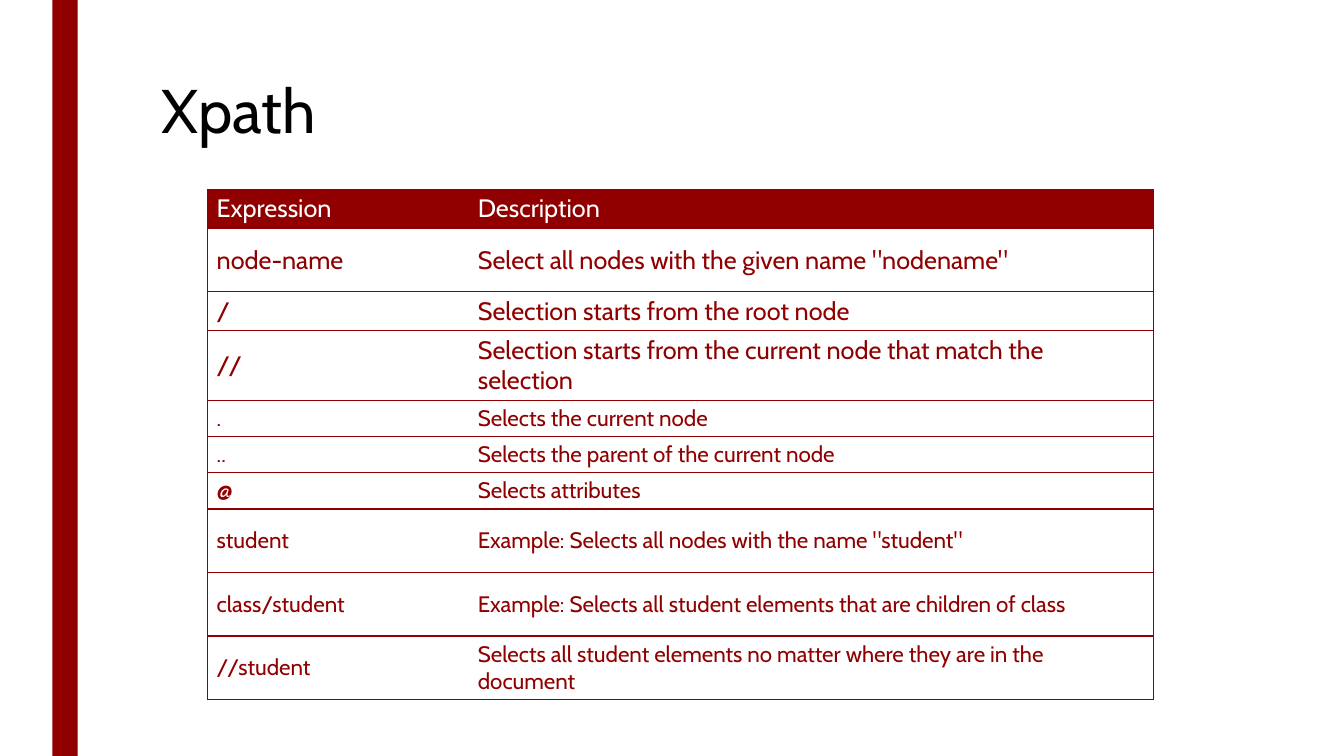
import pptx
import pptx.dml.color
import pptx.enum.shapes
import pptx.enum.text
import pptx.util
import lxml.etree

inches = pptx.util.Inches
COLOURS = {"red": "900000", "white": "FFFFFF", "black": "000000"}
FONT = "Cabin"
WIDTH, HEIGHT = 13.33, 7.5
COLUMNS = [2.59, 6.79]
SHORT, TALL = 0.36, 0.63
ROWS = [
    ("Expression", "Description", 18, SHORT),
    ("node-name", 'Select all nodes with the given name "nodename"', 18, TALL),
    ("/", "Selection starts from the root node", 18, SHORT),
    ("//", "Selection starts from the current node that match the selection", 18, TALL),
    (".", "Selects the current node", 16, SHORT),
    ("..", "Selects the parent of the current node", 16, SHORT),
    ("@", "Selects attributes", 16, SHORT),
    ("student", 'Example: Selects all nodes with the name "student"', 16, TALL),
    ("class/student", "Example: Selects all student elements that are children of class", 16, TALL),
    ("//student", "Selects all student elements no matter where they are in the document", 16, TALL),
]


def colour(name):
    return pptx.dml.color.RGBColor.from_string(COLOURS[name])


def write(frame, text, size, ink, anchor, spacing=1.0):
    frame.word_wrap = True
    frame.vertical_anchor = anchor
    para = frame.paragraphs[0]
    para.alignment = pptx.enum.text.PP_ALIGN.LEFT
    para.line_spacing = spacing
    span = para.add_run()
    span.text = text
    span.font.name = FONT
    span.font.size = pptx.util.Pt(size)
    span.font.bold = False
    span.font.color.rgb = colour(ink)


deck = pptx.Presentation()
deck.slide_width, deck.slide_height = inches(WIDTH), inches(HEIGHT)
page = deck.slides.add_slide(deck.slide_layouts[5])

stripe = page.shapes.add_shape(
    pptx.enum.shapes.MSO_SHAPE.RECTANGLE, inches(0.52), 0, inches(0.25), inches(HEIGHT)
)
stripe.shadow.inherit = False
stripe.fill.solid()
stripe.fill.fore_color.rgb = colour("red")
stripe.line.fill.background()

title = page.shapes.title
title.left, title.top = inches(1.5), inches(0.75)
title.width, title.height = inches(10.5), inches(1.62)
write(title.text_frame, "Xpath", 44, "black", pptx.enum.text.MSO_ANCHOR.TOP, spacing=0.89)

table = page.shapes.add_table(
    len(ROWS), len(COLUMNS), inches(2.06), inches(1.88),
    inches(sum(COLUMNS)), inches(sum(row[-1] for row in ROWS)),
).table
table.first_row = False
table.horz_banding = False
for column, width in zip(table.columns, COLUMNS):
    column.width = inches(width)

for row_index, (expression, description, size, height) in enumerate(ROWS):
    table.rows[row_index].height = inches(height)
    fill, ink = ("red", "white") if row_index == 0 else ("white", "red")
    for column_index, text in enumerate((expression, description)):
        cell = table.cell(row_index, column_index)
        cell.margin_left = cell.margin_right = inches(0.09)
        cell.margin_top = cell.margin_bottom = inches(0.04)
        write(cell.text_frame, text, size, ink, pptx.enum.text.MSO_ANCHOR.MIDDLE)
        cell.vertical_anchor = pptx.enum.text.MSO_ANCHOR.MIDDLE
        properties = cell._tc.get_or_add_tcPr()
        inner_side = "R" if column_index == 0 else "L"
        for side in "LRTB":
            border = lxml.etree.SubElement(
                properties, pptx.oxml.ns.qn(f"a:ln{side}"), w=str(pptx.util.Pt(1))
            )
            if side == inner_side:
                lxml.etree.SubElement(border, pptx.oxml.ns.qn("a:noFill"))
            else:
                paint = lxml.etree.SubElement(border, pptx.oxml.ns.qn("a:solidFill"))
                lxml.etree.SubElement(paint, pptx.oxml.ns.qn("a:srgbClr"), val=COLOURS["red"])
        cell.fill.solid()
        cell.fill.fore_color.rgb = colour(fill)

deck.save("out.pptx")
